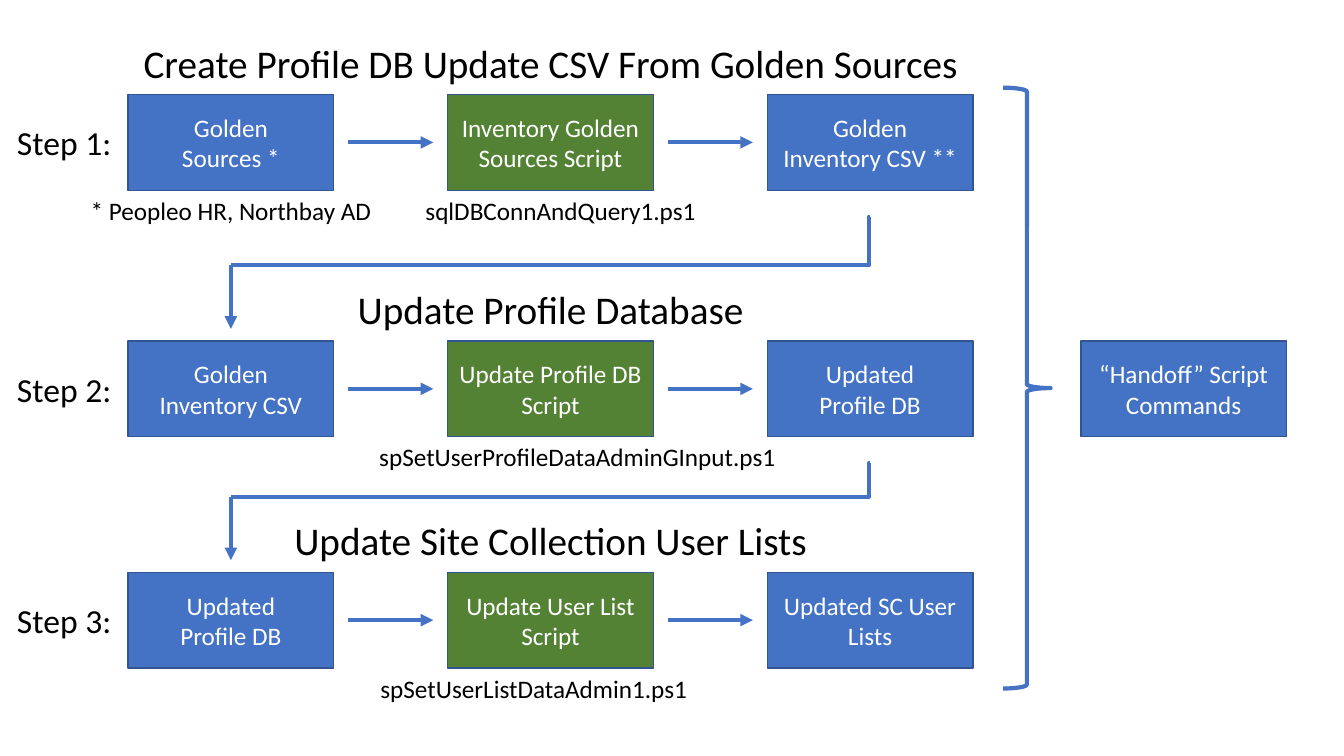
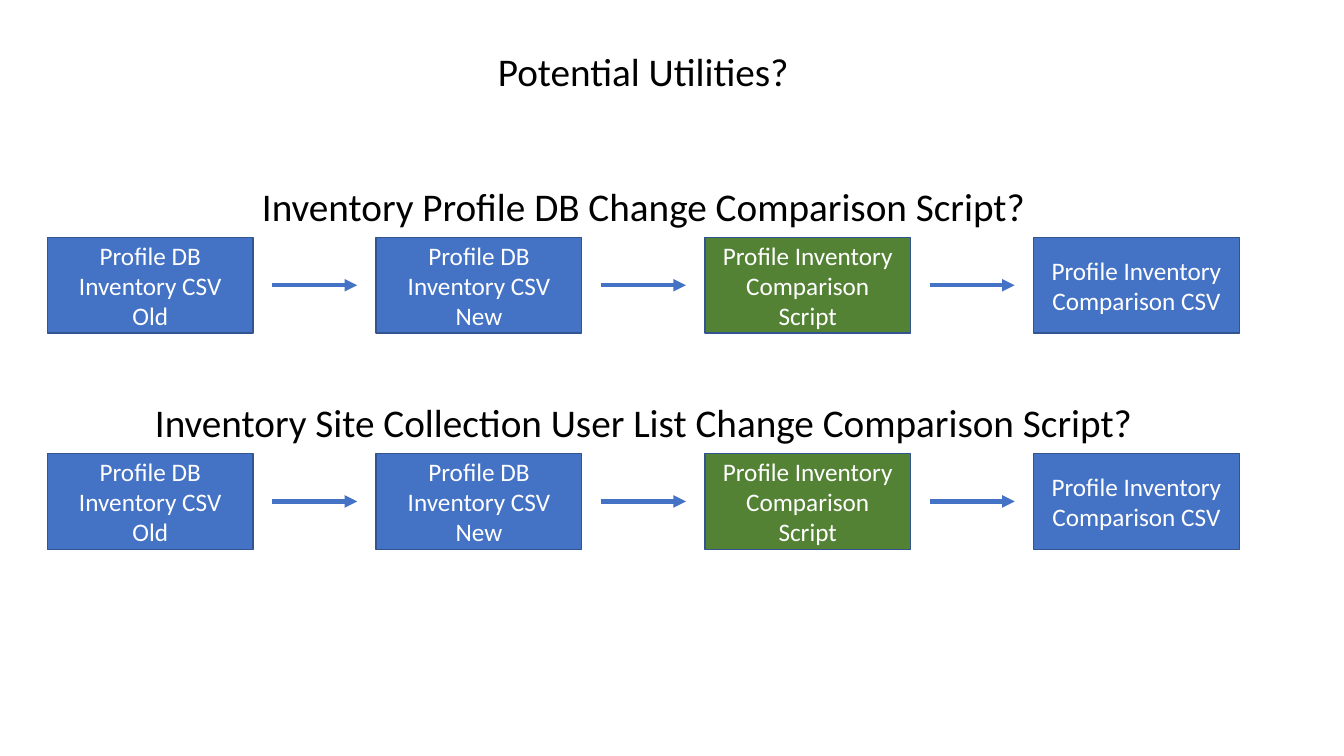
from dataclasses import dataclass

from lxml.etree import SubElement
from pptx import Presentation
from pptx.dml.color import RGBColor as Rgb
from pptx.enum.shapes import MSO_CONNECTOR as Link, MSO_SHAPE as Preset
from pptx.enum.text import MSO_ANCHOR as Anchor, MSO_AUTO_SIZE as AutoSize, PP_ALIGN as Align
from pptx.oxml.ns import qn
from pptx.util import Inches, Pt

SLIDE_W, SLIDE_H = Inches(13.33), Inches(7.5)
TITLE_ONLY = 5


@dataclass(frozen=True)
class Theme:
    font: str = "Calibri"
    text: Rgb = Rgb.from_string("000000")
    on_fill: Rgb = Rgb.from_string("FFFFFF")
    data: Rgb = Rgb.from_string("4472C4")
    script: Rgb = Rgb.from_string("548235")
    border: Rgb = Rgb.from_string("325491")
    heading_size: int = 28
    step_size: int = 24
    body_size: int = 18
    border_width: int = 1
    arrow_width: int = 3


@dataclass(frozen=True)
class Box:
    """A rectangle in percent of the slide's width and height."""
    left: float
    top: float
    width: float
    height: float

    @property
    def right(self):
        return self.left + self.width

    @property
    def bottom(self):
        return self.top + self.height

    @property
    def center(self):
        return self.left + self.width / 2

    @property
    def middle(self):
        return self.top + self.height / 2

    def emu(self):
        return across(self.left), down(self.top), across(self.width), down(self.height)


THEME = Theme()
NODE_W, NODE_H = 15.3, 12.67
ARROW_W = 6.34
HEADING_H, HEADING_RISE = 7.6, 8
CAPTION_W, CAPTION_H = 32, 5.33
STEP_LEFT, STEP_W, STEP_H = 0.5, 8.55, 6.67
DROP_START, DROP_TURN, DROP_END = 3.5, 10, 1.6


def across(share):
    return int(SLIDE_W * share / 100)


def down(share):
    return int(SLIDE_H * share / 100)


def write(shape, text, size, color, anchor=Anchor.TOP, wrap=True):
    frame = shape.text_frame
    frame.text = text
    frame.word_wrap = wrap
    frame.auto_size = AutoSize.NONE
    frame.vertical_anchor = anchor
    for paragraph in frame.paragraphs:
        paragraph.alignment = Align.CENTER
        for run in paragraph.runs:
            run.font.name = THEME.font
            run.font.size = Pt(size)
            run.font.color.rgb = color


def add_label(slide, box, text, size):
    write(slide.shapes.add_textbox(*box.emu()), text, size, THEME.text, wrap=False)


def set_title(slide, box, text):
    title = slide.shapes.title
    title.left, title.top, title.width, title.height = box.emu()
    write(title, text, THEME.heading_size, THEME.text)


def add_node(slide, box, text, fill=THEME.data):
    node = slide.shapes.add_shape(Preset.RECTANGLE, *box.emu())
    node.shadow.inherit = False
    node.fill.solid()
    node.fill.fore_color.rgb = fill
    node.line.color.rgb = THEME.border
    node.line.width = Pt(THEME.border_width)
    write(node, text, THEME.body_size, THEME.on_fill, Anchor.MIDDLE)


def add_link(slide, start, end, kind=Link.STRAIGHT, arrow=True):
    (x1, y1), (x2, y2) = start, end
    link = slide.shapes.add_connector(kind, across(x1), down(y1), across(x2), down(y2))
    link.line.color.rgb = THEME.data
    link.line.width = Pt(THEME.arrow_width)
    properties = link.element.spPr
    if arrow:
        SubElement(properties.find(qn("a:ln")), qn("a:tailEnd"), type="triangle")
    SubElement(properties, qn("a:effectLst"))
    return link


def add_drop(slide, last, first):
    """Lead from below the last node of a row to above the first of the next."""
    turn = first.center, first.top - DROP_TURN
    elbow = add_link(slide, (last.center, last.bottom + DROP_START), turn, Link.ELBOW, arrow=False)
    bend = elbow.element.spPr.find(qn("a:prstGeom")).find(qn("a:avLst"))
    SubElement(bend, qn("a:gd"), name="adj1", fmla="val 200")
    add_link(slide, turn, (first.center, first.top - DROP_END))


def row_nodes(left, top, pitch, count):
    return [Box(left + pitch * column, top, NODE_W, NODE_H) for column in range(count)]


def heading_box(nodes):
    first, last = nodes[0], nodes[-1]
    return Box(first.left, first.top - HEADING_RISE, last.right - first.left, HEADING_H)


def add_flow(slide, nodes, texts, script_column):
    for column, (node, text) in enumerate(zip(nodes, texts)):
        add_node(slide, node, text, THEME.script if column == script_column else THEME.data)
    for before, after in zip(nodes, nodes[1:]):
        start = (before.right + after.left - ARROW_W) / 2
        add_link(slide, (start, before.middle), (start + ARROW_W, before.middle))


def add_caption(slide, node, text, shift=0):
    box = Box(node.center - CAPTION_W / 2 + shift, node.bottom, CAPTION_W, CAPTION_H)
    add_label(slide, box, text, THEME.body_size)


def add_brace(slide, box):
    brace = slide.shapes.add_shape(Preset.RIGHT_BRACE, *box.emu())
    brace.shadow.inherit = False
    brace.fill.background()
    brace.line.color.rgb = THEME.data
    brace.line.width = Pt(THEME.arrow_width)


def build_steps(slide):
    # Row top, heading, node texts, script file, shift of the file name
    steps = [
        (12.5, "Create Profile DB Update CSV From Golden Sources",
         ["Golden\nSources *", "Inventory Golden Sources Script", "Golden\nInventory CSV **"],
         "sqlDBConnAndQuery1.ps1", 0.75),
        (45.1, "Update Profile Database",
         ["Golden\nInventory CSV", "Update Profile DB Script", "Updated\nProfile DB"],
         "spSetUserProfileDataAdminGInput.ps1", 2),
        (75.7, "Update Site Collection User Lists",
         ["Updated\nProfile DB", "Update User List Script", "Updated SC User Lists"],
         "spSetUserListDataAdmin1.ps1", -1.25),
    ]
    rows = [row_nodes(9.53, step[0], 23.78, 3) for step in steps]
    for number, (nodes, step) in enumerate(zip(rows, steps), 1):
        _, heading, texts, script_file, shift = step
        if number == 1:
            set_title(slide, heading_box(nodes), heading)
        else:
            add_label(slide, heading_box(nodes), heading, THEME.heading_size)
        add_flow(slide, nodes, texts, script_column=1)
        add_caption(slide, nodes[1], script_file, shift)
        step_box = Box(STEP_LEFT, nodes[0].middle - STEP_H / 2, STEP_W, STEP_H)
        add_label(slide, step_box, f"Step {number}:", THEME.step_size)
    add_caption(slide, rows[0][0], "* Peopleo HR, Northbay AD")
    for upper, lower in zip(rows, rows[1:]):
        add_drop(slide, upper[-1], lower[0])
    add_brace(slide, Box(74.64, 11.6, 3.53, 79.47))
    add_node(slide, Box(80.42, rows[1][0].top, NODE_W, NODE_H), "“Handoff” Script Commands")


def build_utilities(slide):
    texts = ["Profile DB Inventory CSV\nOld", "Profile DB Inventory CSV New",
             "Profile Inventory Comparison Script", "Profile Inventory Comparison CSV"]
    set_title(slide, Box(17.85, 5.6, 60, HEADING_H), "Potential Utilities?")
    for top, subject in ((31.4, "Profile DB"), (60, "Site Collection User List")):
        nodes = row_nodes(3.53, top, 24.46, len(texts))
        heading = f"Inventory {subject} Change Comparison Script?"
        add_label(slide, heading_box(nodes), heading, THEME.heading_size)
        add_flow(slide, nodes, texts, script_column=2)


def main():
    deck = Presentation()
    deck.slide_width, deck.slide_height = SLIDE_W, SLIDE_H
    for build in (build_steps, build_utilities):
        build(deck.slides.add_slide(deck.slide_layouts[TITLE_ONLY]))
    deck.save("out.pptx")


if __name__ == "__main__":
    main()
